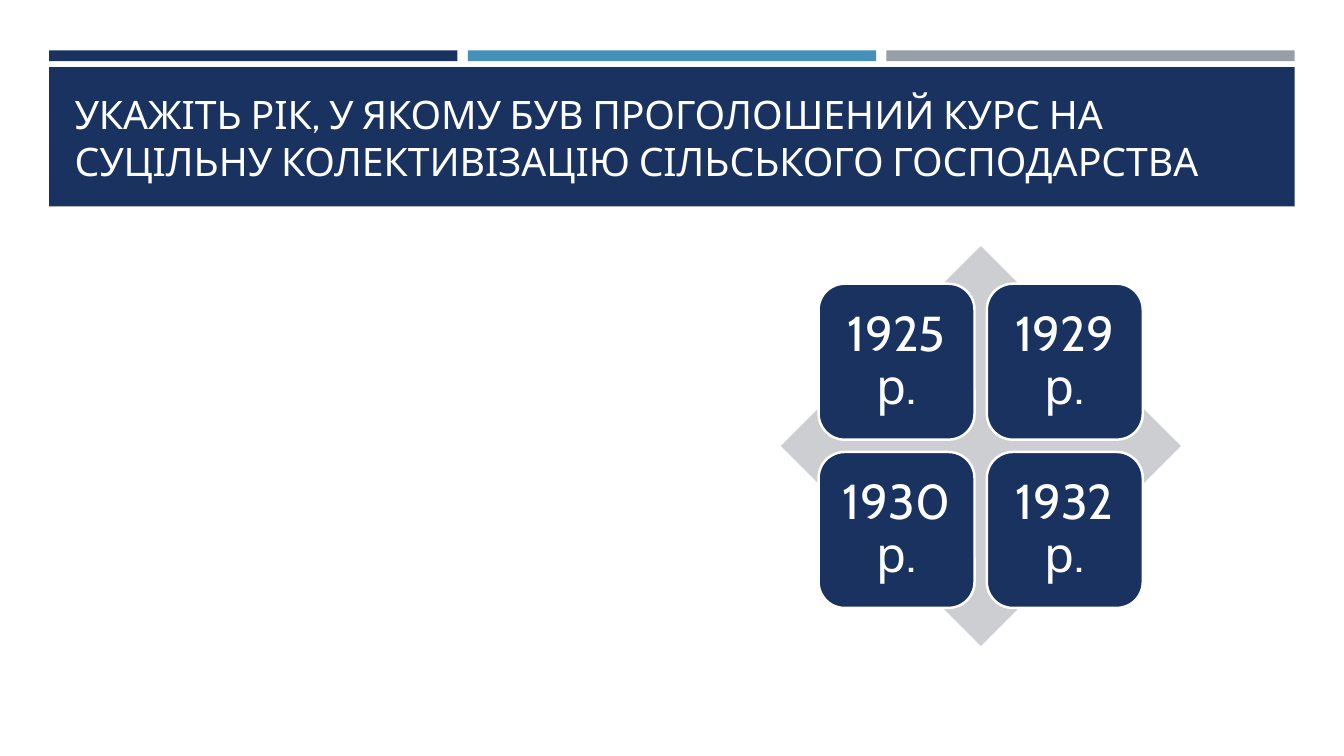
from dataclasses import dataclass

from pptx import Presentation
from pptx.dml.color import RGBColor
from pptx.enum.shapes import MSO_SHAPE
from pptx.enum.text import MSO_ANCHOR, PP_ALIGN
from pptx.util import Cm, Pt


@dataclass(frozen=True)
class Theme:
    font: str = "Cabin"
    navy: str = "1A3260"
    blue: str = "4590B8"
    gray: str = "969FA7"
    pale: str = "CDCED2"
    white: str = "FFFFFF"
    title_size: float = 28
    year_size: float = 35
    outline: float = 1.75


class QuizSlide:
    def __init__(self, slide, theme):
        self.shapes = slide.shapes
        self.theme = theme

    def block(self, kind, left, top, width, height, color):
        """Add a filled preset shape without outline; lengths in cm."""
        shape = self.shapes.add_shape(kind, Cm(left), Cm(top), Cm(width), Cm(height))
        shape.shadow.inherit = False
        shape.fill.solid()
        shape.fill.fore_color.rgb = RGBColor.from_string(color)
        shape.line.fill.background()
        return shape

    def set_text(self, frame, text, size, anchor, align):
        frame.word_wrap = True
        frame.vertical_anchor = anchor
        paragraph = frame.paragraphs[0]
        paragraph.alignment = align
        run = paragraph.add_run()
        run.text = text
        run.font.name = self.theme.font
        run.font.size = Pt(size)
        run.font.color.rgb = RGBColor.from_string(self.theme.white)
        return paragraph

    def title(self, text, left, top, width, height):
        heading = self.shapes.add_textbox(Cm(left), Cm(top), Cm(width), Cm(height))
        self.set_text(heading.text_frame, text, self.theme.title_size,
                      MSO_ANCHOR.BOTTOM, PP_ALIGN.LEFT)

    def answer(self, text, left, top, side):
        tile = self.block(MSO_SHAPE.ROUNDED_RECTANGLE, left, top, side, side,
                          self.theme.navy)
        tile.line.color.rgb = RGBColor.from_string(self.theme.white)
        tile.line.width = Pt(self.theme.outline)
        frame = tile.text_frame
        frame.margin_left = frame.margin_right = Cm(0.38)
        frame.margin_top = frame.margin_bottom = Cm(0.38)
        year = self.set_text(frame, text, self.theme.year_size,
                             MSO_ANCHOR.MIDDLE, PP_ALIGN.CENTER)
        year.line_spacing = 0.9


def main():
    presentation = Presentation()
    presentation.slide_width, presentation.slide_height = Cm(33.87), Cm(19.05)
    theme = Theme()
    quiz = QuizSlide(presentation.slides.add_slide(presentation.slide_layouts[6]), theme)

    margin, stripe_step = 1.24, 10.55
    for column, color in enumerate((theme.navy, theme.blue, theme.gray)):
        quiz.block(MSO_SHAPE.RECTANGLE, margin + column * stripe_step, 1.27,
                   10.29, 0.27, color)
    quiz.block(MSO_SHAPE.RECTANGLE, margin, 1.69, 31.39, 3.51, theme.navy)
    quiz.title("УКАЖІТЬ РІК, У ЯКОМУ БУВ ПРОГОЛОШЕНИЙ КУРС НА "
               "СУЦІЛЬНУ КОЛЕКТИВІЗАЦІЮ СІЛЬСЬКОГО ГОСПОДАРСТВА",
               1.63, 2.03, 30.63, 2.74)

    quiz.block(MSO_SHAPE.DIAMOND, 19.68, 6.2, 10.08, 10.08, theme.pale)
    tile_step = 4.24
    for index, year in enumerate(("1925 р.", "1929 р.", "1930 р.", "1932 р.")):
        row, column = divmod(index, 2)
        quiz.answer(year, 20.63 + column * tile_step, 7.15 + row * tile_step, 3.93)

    presentation.save("out.pptx")


if __name__ == "__main__":
    main()
